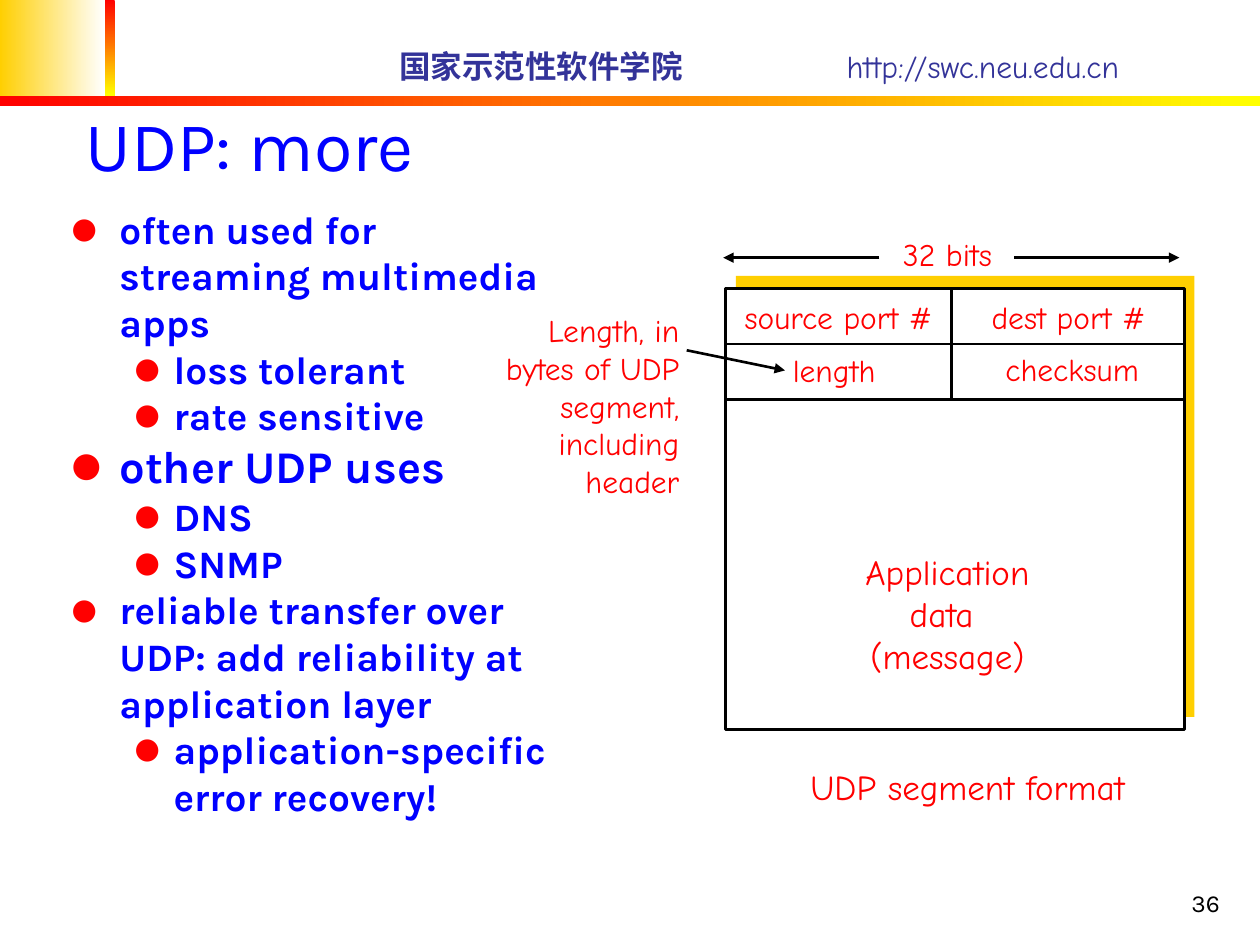
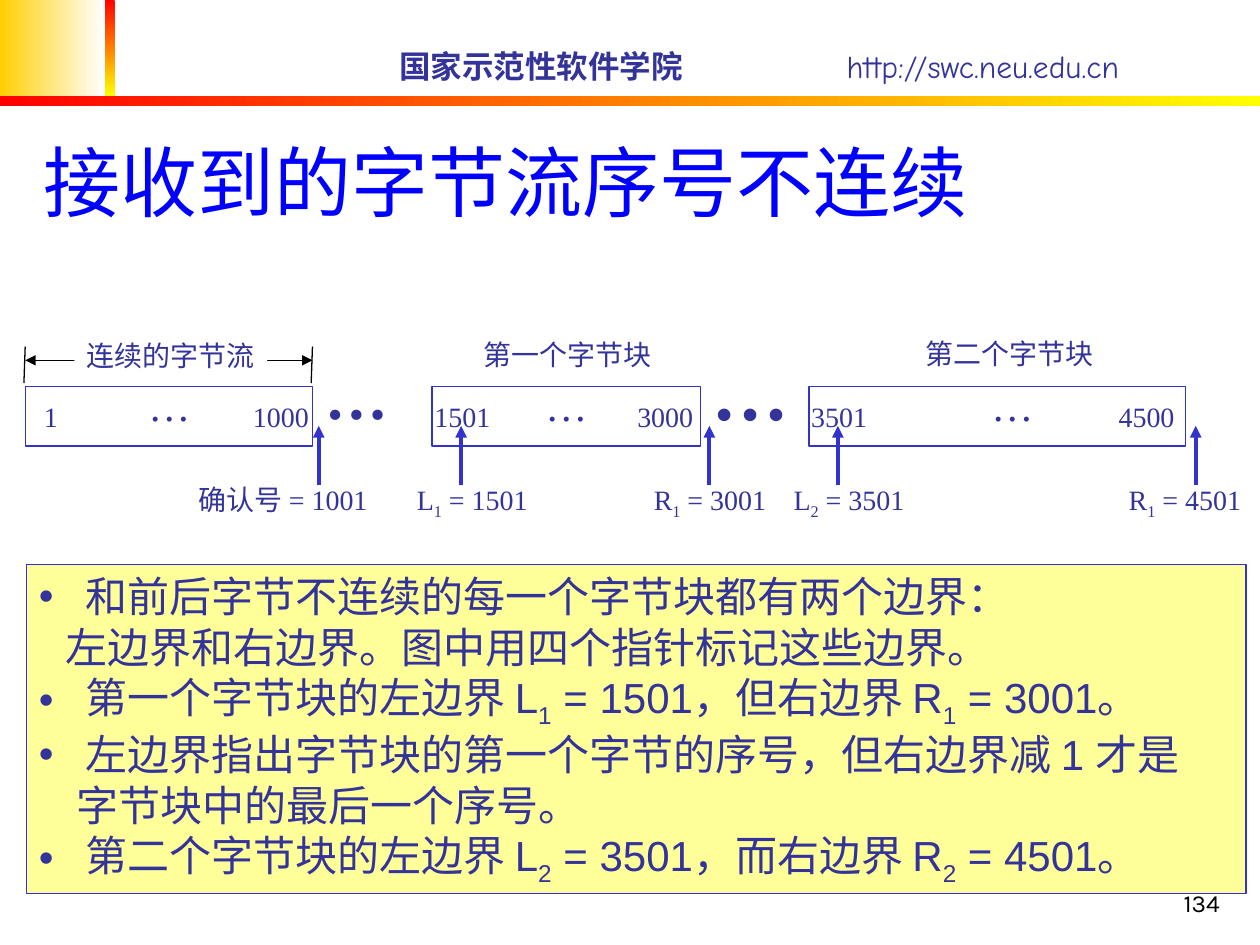
import lxml.etree
import pptx
import pptx.dml.color
import pptx.enum.shapes
import pptx.enum.text
import pptx.oxml.ns
import pptx.util

RGBColor = pptx.dml.color.RGBColor
ALIGN = pptx.enum.text.PP_ALIGN
ANCHOR = pptx.enum.text.MSO_ANCHOR

# The slide is a grid of 100 columns by 75 rows of square cells
COLUMNS, ROWS = 100, 75
CELL = pptx.util.Inches(0.1)

GOLD = RGBColor(0xFF, 0xCF, 0x01)
RED = RGBColor(0xFF, 0x00, 0x00)
YELLOW = RGBColor(0xFF, 0xFF, 0x00)
PALE_YELLOW = RGBColor(0xFF, 0xFF, 0x99)
BLUE = RGBColor(0x00, 0x00, 0xFF)
NAVY = RGBColor(0x33, 0x33, 0x99)
INDIGO = RGBColor(0x33, 0x33, 0xCC)
BLACK = RGBColor(0x00, 0x00, 0x00)
WHITE = RGBColor(0xFF, 0xFF, 0xFF)

COMIC, KARLA, TIMES, ARIAL = "Comic Neue", "Karla", "Times New Roman", "Arial"
SEGMENT_TEXT = dict(font=COMIC, size=18, color=RED, align=ALIGN.CENTER)
STREAM_TEXT = dict(font=TIMES, size=16, color=NAVY)


def cells(*counts):
    return [pptx.util.Emu(round(count * CELL)) for count in counts]


def add_element(parent, tag, **attributes):
    return lxml.etree.SubElement(parent, pptx.oxml.ns.qn(tag), attributes)


# Text
def write_paragraph(paragraph, text, font=KARLA, size=18, color=BLACK, bold=False,
                    align=ALIGN.LEFT, margin=0, hanging=0, bullet=None,
                    bullet_color=None, bullet_percent=100):
    """Write text in which ~ marks the start and end of a subscript."""
    paragraph.alignment = align
    properties = paragraph._p.get_or_add_pPr()
    left, indent = cells(margin, -hanging)
    properties.set("marL", str(left))
    properties.set("indent", str(indent))
    if bullet:
        bullet_fill = add_element(properties, "a:buClr")
        add_element(bullet_fill, "a:srgbClr", val=str(bullet_color or color))
        add_element(properties, "a:buSzPct", val=str(bullet_percent * 1000))
        add_element(properties, "a:buFont", typeface=font)
        add_element(properties, "a:buChar", char=bullet)
    else:
        add_element(properties, "a:buNone")
    for index, part in enumerate(text.split("~")):
        run = paragraph.add_run()
        run.text = part
        run.font.name = font
        run.font.size = pptx.util.Pt(size)
        run.font.bold = bold
        run.font.color.rgb = color
        if index % 2:
            run.font._element.set("baseline", "-25000")


def write_text(shape, lines, wrap=False, anchor=ANCHOR.TOP, **text_format):
    """Write one paragraph a line; a line may be (text, own format)."""
    frame = shape.text_frame
    frame.word_wrap = wrap
    frame.vertical_anchor = anchor
    for index, line in enumerate([lines] if isinstance(lines, str) else lines):
        text, own_format = (line, {}) if isinstance(line, str) else line
        paragraph = frame.add_paragraph() if index else frame.paragraphs[0]
        write_paragraph(paragraph, text, **{**text_format, **own_format})


def add_text(slide, place, lines, **text_format):
    write_text(slide.shapes.add_textbox(*cells(*place)), lines, **text_format)


# Shapes and lines
def add_box(slide, place, fill, line=None, width=0.75):
    box = slide.shapes.add_shape(
        pptx.enum.shapes.MSO_SHAPE.RECTANGLE, *cells(*place))
    box.shadow.inherit = False
    box.fill.solid()
    box.fill.fore_color.rgb = fill
    if line is None:
        box.line.fill.background()
    else:
        box.line.color.rgb = line
        box.line.width = pptx.util.Pt(width)
    return box


def add_band(slide, place, start, end, angle=0):
    fill = add_box(slide, place, start).fill
    fill.gradient()
    fill.gradient_angle = angle
    for stop, color in zip(fill.gradient_stops, (start, end)):
        stop.color.rgb = color


def add_line(slide, start, end, color=BLACK, width=1.5, arrows=()):
    """Draw a line; arrows names its pointed ends, headEnd being the start."""
    line = slide.shapes.add_connector(
        pptx.enum.shapes.MSO_CONNECTOR.STRAIGHT, *cells(*start, *end))
    line.line.color.rgb = color
    line.line.width = pptx.util.Pt(width)
    outline = line.line._get_or_add_ln()
    for arrow in arrows:
        add_element(outline, f"a:{arrow}", type="triangle")
    add_element(line._element.spPr, "a:effectLst")


# Parts that both slides share
def add_base_slide(presentation, number, title, title_place, title_size):
    slide = presentation.slides.add_slide(presentation.slide_layouts[6])
    add_band(slide, (0, 0, 8.3, 7.6), GOLD, WHITE)
    add_band(slide, (8.3, 0, 0.8, 7.6), RED, YELLOW, angle=270)
    add_band(slide, (0, 7.6, COLUMNS, 0.8), RED, YELLOW)
    for left, text, bold in ((30.7, "国家示范性软件学院", True),
                             (66.2, "http://swc.neu.edu.cn", False)):
        add_text(slide, (left, 3.2, 31.5, 4), text, font=COMIC, color=NAVY,
                 bold=bold, wrap=True, anchor=ANCHOR.MIDDLE)
    add_text(slide, (77, 68.3, 20.8, 5), number, size=14, align=ALIGN.RIGHT,
             wrap=True, anchor=ANCHOR.BOTTOM)
    add_text(slide, title_place, title, size=title_size, color=BLUE,
             wrap=True, anchor=ANCHOR.BOTTOM)
    return slide


def add_udp_points(slide):
    point = dict(margin=3.8, hanging=3.8)
    detail = dict(margin=8.1, hanging=3.1)
    lines = [
        ("often used for streaming multimedia apps", point),
        ("loss tolerant", detail),
        ("rate sensitive", detail),
        ("other UDP uses", dict(point, size=25.9)),
        ("DNS", detail),
        ("SNMP", detail),
        ("reliable transfer over UDP: add reliability at application layer", point),
        ("application-specific error recovery!", detail),
    ]
    add_text(slide, (4.7, 15.8, 41.7, 50.8), lines, size=22.2, color=BLUE, bold=True,
             bullet="●", bullet_color=RED, bullet_percent=75, wrap=True)


def add_udp_segment(slide):
    left, top, width, height = 57.6, 22.9, 36.4, 35
    right, middle, field_height = left + width, 75.5, 4.4
    add_box(slide, (left + 0.8, top - 1, width, height), GOLD)
    add_box(slide, (left, top, width, height), WHITE, BLACK, 1.5)

    # Header fields
    for row in (1, 2):
        bottom = top + row * field_height
        add_line(slide, (left, bottom), (right, bottom))
    add_line(slide, (middle, top), (middle, top + 2 * field_height))
    for place, text in (((57.6, 23.2, 17.9, 4), "source port #"),
                        ((77.2, 23.2, 15.2, 4), "dest port #"),
                        ((61.2, 27.4, 10, 4), "length"),
                        ((78.3, 27.3, 13.6, 4), "checksum"),
                        ((70.2, 18.2, 10, 4), "32 bits")):
        add_text(slide, place, text, **SEGMENT_TEXT)

    # Width arrows, payload and captions
    for start, end in ((80.5, 93.6), (69.8, 57.4)):
        add_line(slide, (start, 20.45), (end, 20.45), arrows=["tailEnd"])
    large = dict(SEGMENT_TEXT, size=20)
    add_text(slide, (67.7, 43.2, 15, 11), ["Application", "data ", "(message)"], **large)
    add_text(slide, (63.3, 60.3, 27, 4.4), "UDP segment format", **large)
    add_text(slide, (39.1, 24.2, 15.8, 16),
             ["Length, in", "bytes of UDP", "segment,", "including", "header"],
             **dict(SEGMENT_TEXT, align=ALIGN.RIGHT))
    add_line(slide, (54.5, 27.8), (62.3, 29.4), arrows=["tailEnd"])


def add_byte_stream(slide):
    # Blocks of bytes with their first and last numbers
    for left, width, first, first_left, last, last_left in (
            (2, 22.8, "1", 2.5, "1000", 19.1),
            (34.3, 21.3, "1501", 33.5, "3000", 49.6),
            (64.2, 29.9, "3501", 63.4, "4500", 87.8)):
        add_box(slide, (left, 30.7, width, 4.7), WHITE, INDIGO)
        for number, number_left in ((first, first_left), (last, last_left)):
            add_text(slide, (number_left, 31.2, 8, 3.7), number, wrap=True,
                     **STREAM_TEXT)
    for place, size, bold in (((10.8, 29.6, 5.3, 5), 24, False),
                              ((42.3, 29.6, 5.3, 5), 24, False),
                              ((77.7, 29.6, 5.3, 5), 24, False),
                              ((24.8, 27.8, 7, 7), 36, True),
                              ((55.5, 26.8, 8.1, 8.4), 44, True)):
        add_text(slide, place, "…", **dict(STREAM_TEXT, size=size, bold=bold))

    # Names above the blocks
    add_line(slide, (2, 28.6), (24.8, 28.6), width=0.75, arrows=["headEnd", "tailEnd"])
    for edge in (2, 24.8):
        add_line(slide, (edge, 27.5), (edge - 0.1, 30.4), width=0.75)
    label = add_box(slide, (5.9, 26.4, 15.3, 3.7), WHITE)
    write_text(label, "连续的字节流", **STREAM_TEXT)
    add_text(slide, (37.4, 26.3, 15.3, 3.7), "第一个字节块", **STREAM_TEXT)
    add_text(slide, (72.5, 26.2, 15.3, 3.7), "第二个字节块", **STREAM_TEXT)

    # Pointers below the blocks
    for pointer, left, width, text in ((25.3, 14.8, 16.5, "确认号 = 1001"),
                                       (36.6, 32.1, 10.8, "L~1~ = 1501"),
                                       (56.3, 50.9, 10.9, "R~1~ = 3001"),
                                       (66.5, 62, 10.8, "L~2~ = 3501"),
                                       (94.9, 88.6, 10.9, "R~1~ = 4501")):
        add_line(slide, (pointer, 38.5), (pointer, 33.8), INDIGO, 2.25, ["tailEnd"])
        add_text(slide, (left, 37.8, width, 4.1), text, **STREAM_TEXT)


def add_border_notes(slide):
    point = dict(margin=3.7, hanging=3.7, bullet="•")
    lines = [
        ("和前后字节不连续的每一个字节块都有两个边界：", point),
        ("左边界和右边界。图中用四个指针标记这些边界。", dict(margin=2.1)),
        ("第一个字节块的左边界 L~1~ = 1501，但右边界 R~1~ = 3001。", point),
        ("左边界指出字节块的第一个字节的序号，但右边界减 1 才是", point),
        ("字节块中的最后一个序号。", dict(margin=3)),
        ("第二个字节块的左边界 L~2~ = 3501，而右边界 R~2~ = 4501。", point),
    ]
    panel = add_box(slide, (2.1, 44.8, 96.8, 26.1), PALE_YELLOW, INDIGO)
    write_text(panel, lines, font=ARIAL, size=24, color=NAVY, wrap=True)


def main():
    presentation = pptx.Presentation()
    presentation.slide_width, presentation.slide_height = cells(COLUMNS, ROWS)

    udp_slide = add_base_slide(presentation, "36", "UDP: more", (5.8, 2.7, 91.2, 12.5), 40)
    add_udp_points(udp_slide)
    add_udp_segment(udp_slide)

    stream_slide = add_base_slide(presentation, "134", "接收到的字节流序号不连续",
                                  (2.5, 2.5, 95.3, 16), 44)
    add_byte_stream(stream_slide)
    add_border_notes(stream_slide)

    presentation.save("out.pptx")


if __name__ == "__main__":
    main()
